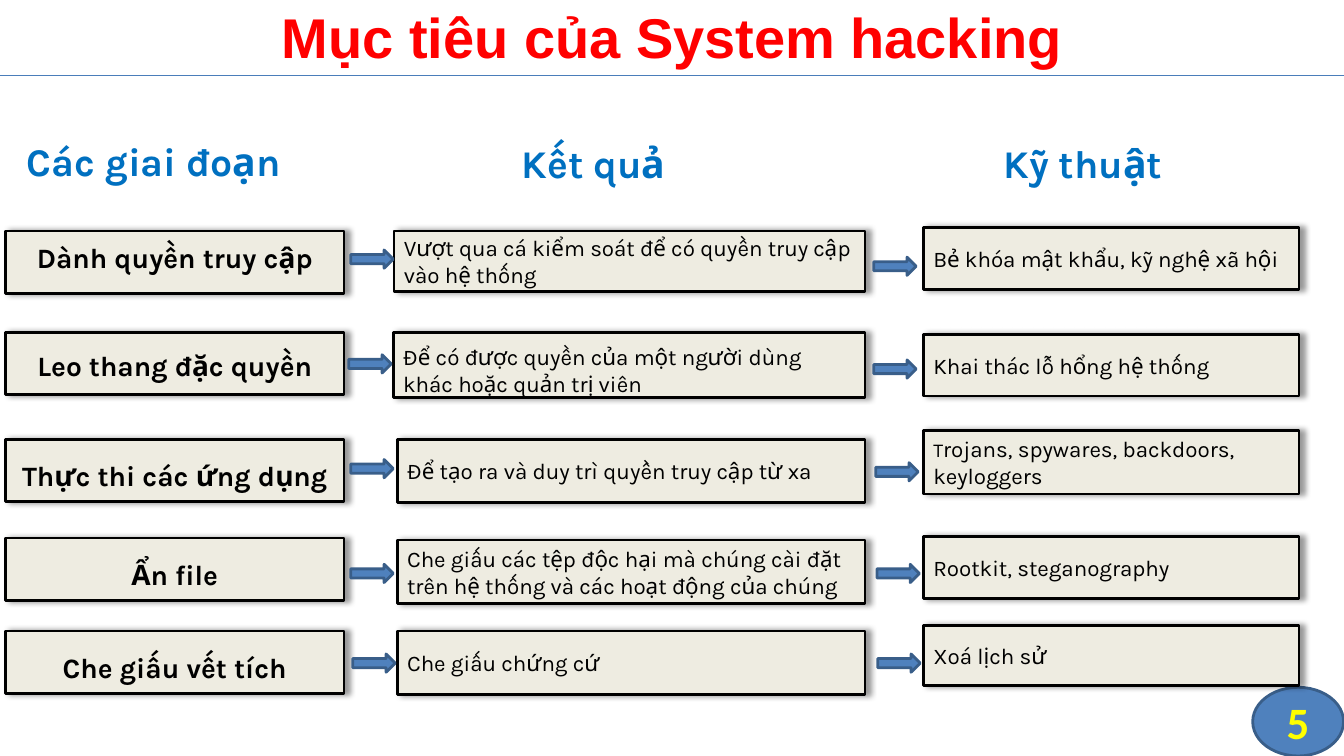
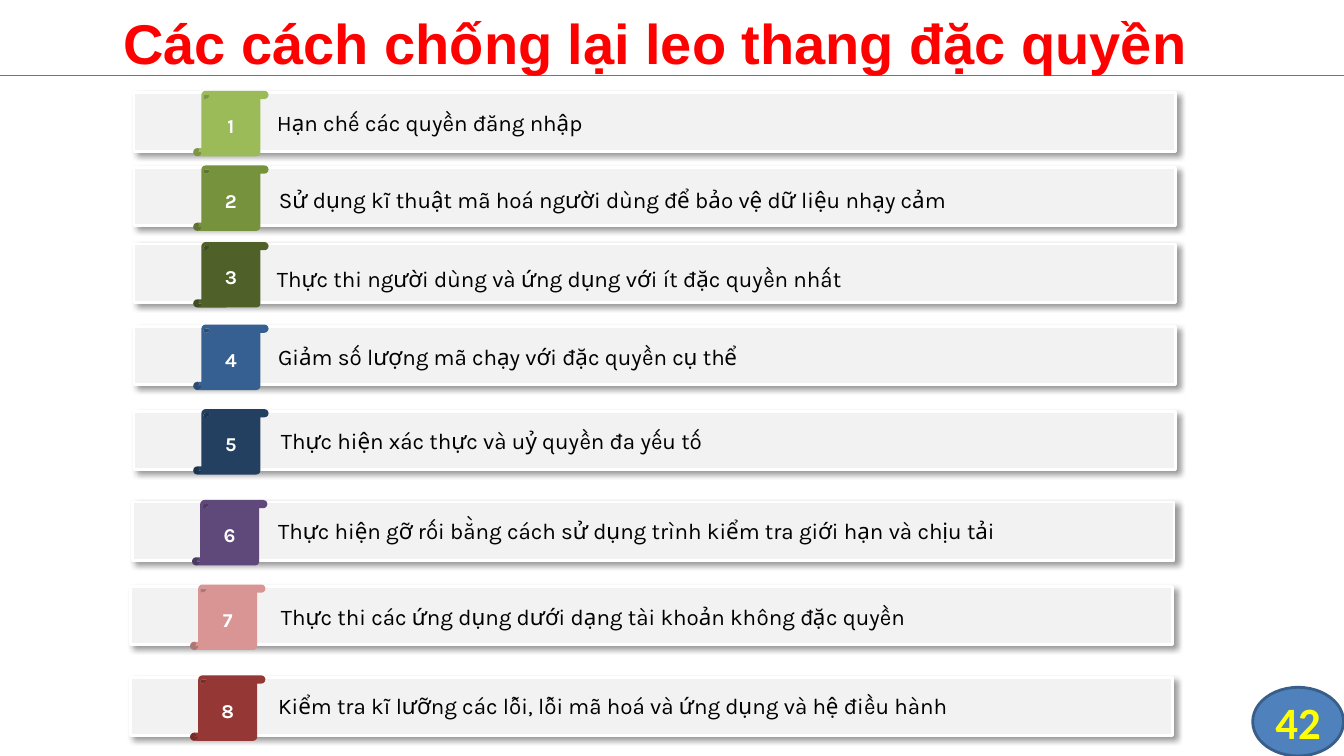
from lxml.etree import SubElement
from pptx import Presentation
from pptx.dml.color import RGBColor
from pptx.enum.shapes import MSO_CONNECTOR, MSO_SHAPE
from pptx.enum.text import MSO_ANCHOR, PP_ALIGN
from pptx.oxml.ns import qn
from pptx.util import Cm, Pt

WIDE, TALL = 33.87, 19.05

STAGES = [
    (("Dành quyền truy cập", 5.82, -0.13),
     ("Vượt qua cá kiểm soát để có quyền truy cập vào hệ thống", 9.93, 5.82, 1.52, 0),
     ("Bẻ khóa mật khẩu, kỹ nghệ xã hội", 5.74, 1.55, None),
     ((8.84, 6.3), (22.02, 6.48))),
    (("Leo thang đặc quyền", 8.38, 0.05),
     ("Để có được quyền của một người dùng khác hoặc quản trị viên", 9.91, 8.38, 1.63, 0.13),
     ("Khai thác lỗ hổng hệ thống", 8.43, 1.55, None),
     ((8.79, 8.94), (22.02, 9.07))),
    (("Thực thi các ứng dụng", 11.07, 0.13),
     ("Để tạo ra và duy trì quyền truy cập từ xa", 10.01, 11.07, 1.6, 0),
     ("Trojans, spywares, backdoors, keyloggers", 10.85, 1.6, 14),
     ((8.84, 11.58), (22.07, 11.66))),
    (("Ẩn file", 13.56, 0.13),
     ("Che giấu các tệp độc hại mà chúng cài đặt trên hệ thống và các hoạt động của chúng",
      10.01, 13.61, 1.6, 0),
     ("Rootkit, steganography", 13.51, 1.57, None),
     ((8.84, 14.22), (22.1, 14.22))),
    (("Che giấu vết tích", 15.9, 0.13),
     ("Che giấu chứng cứ", 10.01, 15.9, 1.6, 0),
     ("Xoá lịch sử", 15.77, 1.5, None),
     ((8.89, 16.48), (22.12, 16.48))),
]

HEADS = [
    ("Các giai đoạn", 0.43, 3.33, 7.19),
    ("Kết quả", 12.9, 3.38, 4.37),
    ("Kỹ thuật", 25.04, 3.38, 6.78),
]

WAYS = [
    ("Hạn chế các quyền đăng nhập", "lime", 3.38, 2.34, 6.73, 2.62),
    ("Sử dụng kĩ thuật mã hoá người dùng để bảo vệ dữ liệu nhạy cảm",
     "olive", 3.38, 4.22, 6.78, 4.57),
    ("Thực thi người dùng và ứng dụng với ít đặc quyền nhất", "moss", 3.38, 6.15, 6.73, 6.55),
    ("Giảm số lượng mã chạy với đặc quyền cụ thể", "steel", 3.38, 8.23, 6.76, 8.51),
    ("Thực hiện xác thực và uỷ quyền đa yếu tố", "navy", 3.38, 10.36, 6.83, 10.64),
    ("Thực hiện gỡ rối bằng cách sử dụng trình kiểm tra giới hạn và chịu tải",
     "plum", 3.35, 12.65, 6.76, 12.9),
    ("Thực thi các ứng dụng dưới dạng tài khoản không đặc quyền",
     "rose", 3.3, 14.78, 6.83, 15.06),
    ("Kiểm tra kĩ lưỡng các lỗi, lỗi mã hoá và ứng dụng và hệ điều hành",
     "brick", 3.3, 17.07, 6.76, 17.32),
]


class Deck:
    """Holds the style and the slide being drawn."""

    hues = {
        "black": "000000", "white": "FFFFFF", "red": "FF0000", "yellow": "FFFF00",
        "blue": "4F81BD", "edge": "395E89", "rule": "4A7DBA", "head": "0070C0",
        "cream": "EEECE1", "grey": "F2F2F2", "lime": "9BBB59", "olive": "76923C",
        "moss": "4F6128", "steel": "366092", "navy": "244061", "plum": "5F497A",
        "rose": "D99593", "brick": "953734",
    }

    def __init__(self):
        """Start an empty wide deck."""
        self.show = Presentation()
        self.show.slide_width, self.show.slide_height = Cm(WIDE), Cm(TALL)
        self.slide = None

    def hue(self, name):
        """Look up a colour."""
        return RGBColor.from_string(self.hues[name])

    def page(self, title, number, left, top):
        """Add a slide with its badge, rule and title."""
        self.slide = self.show.slides.add_slide(self.show.slide_layouts[6])
        badge = self.shape(MSO_SHAPE.FLOWCHART_CONNECTOR, (31.57, 17.32, 2.29, 1.73),
                           "blue", "edge")
        self.letter(badge, str(number), 32, "yellow", True, "Calibri", pad=(0, 0, 0, 0))
        rule = self.slide.shapes.add_connector(
            MSO_CONNECTOR.STRAIGHT, 0, Cm(1.9), Cm(WIDE), Cm(1.9))
        rule.line.color.rgb = self.hue("rule")
        rule.line.width = Pt(0.75)
        SubElement(rule._element.spPr, qn("a:effectLst"))
        self.label(title, (left, top, WIDE, 1.98), 40, "red", True, "Arial",
                   PP_ALIGN.CENTER, MSO_ANCHOR.MIDDLE)

    def shape(self, kind, area, fill, line=None, angle=None):
        """Add a filled shape, with a cast shadow if an angle is given."""
        shape = self.slide.shapes.add_shape(kind, *map(Cm, area))
        shape.shadow.inherit = False
        shape.fill.solid()
        shape.fill.fore_color.rgb = self.hue(fill)
        if line:
            shape.line.color.rgb = self.hue(line)
            shape.line.width = Pt(2)
        else:
            shape.line.fill.background()
        if angle is not None:
            effects = shape._element.spPr.find(qn("a:effectLst"))
            cast = SubElement(effects, qn("a:outerShdw"), blurRad=str(Pt(4)),
                              dist=str(Pt(3)), dir=str(angle * 60000),
                              algn="tl", rotWithShape="0")
            tone = SubElement(cast, qn("a:srgbClr"), val=self.hues["black"])
            SubElement(tone, qn("a:alpha"), val="40000")
        return shape

    def letter(self, shape, text, size, hue="black", bold=False, face="Karla",
               align=PP_ALIGN.CENTER, anchor=MSO_ANCHOR.MIDDLE,
               pad=(0.25, 0.13, 0.25, 0.13), lead=None):
        """Set one paragraph, its first letter in the lead size if given."""
        frame = shape.text_frame
        frame.word_wrap = True
        frame.vertical_anchor = anchor
        (frame.margin_left, frame.margin_top,
         frame.margin_right, frame.margin_bottom) = map(Cm, pad)
        para = frame.paragraphs[0]
        para.alignment = align
        font = para.font
        font.name, font.size, font.bold = face, Pt(size), bold
        font.color.rgb = self.hue(hue)
        if lead:
            first = para.add_run()
            first.text, text = text[0], text[1:]
            first.font.size = Pt(lead)
        para.add_run().text = text

    def label(self, text, area, size, hue="black", bold=False, face="Karla",
              align=PP_ALIGN.LEFT, anchor=MSO_ANCHOR.TOP):
        """Add free text."""
        box = self.slide.shapes.add_textbox(*map(Cm, area))
        self.letter(box, text, size, hue, bold, face, align, anchor)

    def cell(self, text, area, size=16, bold=False, align=PP_ALIGN.LEFT, drop=0, lead=None):
        """Add a framed box whose text sits lower by the drop."""
        box = self.shape(MSO_SHAPE.RECTANGLE, area, "cream", "black", 0)
        self.letter(box, text, size, bold=bold, align=align, lead=lead,
                    pad=(0.25, 0.13 + drop, 0.25, 0.13 - drop))

    def arrow(self, left, top):
        """Add a block arrow."""
        self.shape(MSO_SHAPE.RIGHT_ARROW, (left, top, 1.07, 0.46), "blue", "edge")

    def step(self, number, text, hue, left, top, inset, base):
        """Add a bar with a numbered scroll and its text."""
        self.shape(MSO_SHAPE.RECTANGLE, (left, top, 26.24, 1.47), "grey", "white", 45)
        scroll = self.shape(MSO_SHAPE.VERTICAL_SCROLL,
                            (left + 1.49, top - 0.05, 1.9, 1.65), hue)
        self.letter(scroll, str(number), 14, "white", True)
        self.label(text, (inset, base, 23.98, 0.94), 16)


def main():
    """Build both slides."""
    deck = Deck()

    deck.page("Mục tiêu của System hacking", 5, 0, -0.08)
    for text, left, top, width in HEADS:
        deck.label(text, (left, top, width, 1.45), 28, "head", True)
    for stage, result, skill, arrows in STAGES:
        text, top, drop = stage
        deck.cell(text, (0.14, top, 8.53, 1.57), 20, True, PP_ALIGN.CENTER, drop)
        text, left, top, height, drop = result
        deck.cell(text, (left, top, 21.8 - left, height), drop=drop)
        text, top, height, lead = skill
        deck.cell(text, (23.27, top, 9.47, height), lead=lead)
        for spot in arrows:
            deck.arrow(*spot)

    deck.page("Các cách chống lại leo thang đặc quyền", 42, -0.43, 0.08)
    for number, way in enumerate(WAYS, 1):
        deck.step(number, *way)

    deck.show.save("out.pptx")


if __name__ == "__main__":
    main()
